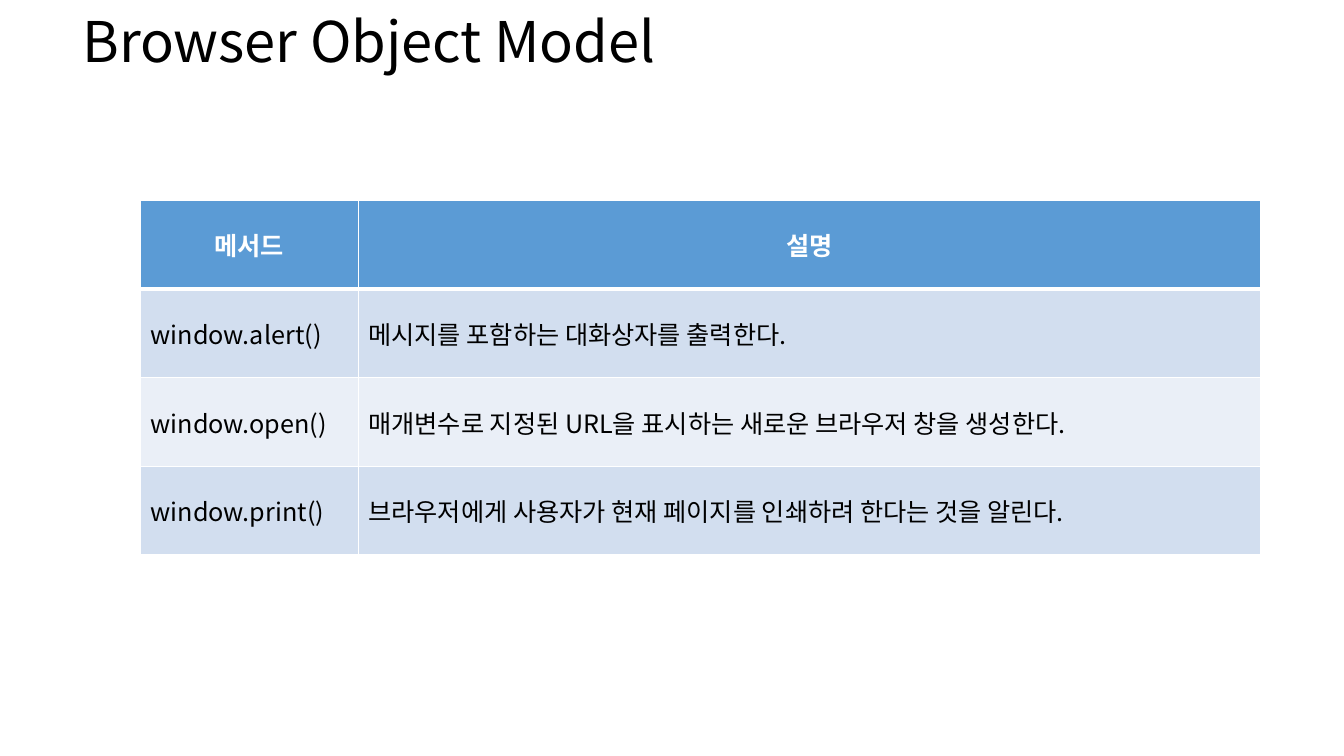
from lxml import etree
from pptx import Presentation
from pptx.dml.color import RGBColor
from pptx.enum.text import MSO_ANCHOR, PP_ALIGN
from pptx.oxml.ns import qn
from pptx.util import Pt

LEFT, CENTER = PP_ALIGN.LEFT, PP_ALIGN.CENTER
MIDDLE = MSO_ANCHOR.MIDDLE


def rgb(value):
    return RGBColor.from_string(value)


class SlideBuilder:
    font = "Noto Sans CJK KR"
    black, white = "000000", "FFFFFF"
    header_fill = "5B9BD5"
    band_fills = ("D2DEEF", "EAEFF7")

    def __init__(self, prs):
        self.s = prs.slides.add_slide(prs.slide_layouts[6])

    def run(self, p, text, size, color, bold=False):
        r = p.add_run()
        r.text = text
        r.font.size = Pt(size)
        r.font.bold = bold
        r.font.name = self.font
        r.font.color.rgb = rgb(color)
        ea = etree.SubElement(r.font._element, qn("a:ea"))
        ea.set("typeface", self.font)

    def title(self, text, left, top, width, height):
        sp = self.s.shapes.add_textbox(Pt(left), Pt(top), Pt(width), Pt(height))
        tf = sp.text_frame
        tf.word_wrap = True
        p = tf.paragraphs[0]
        p.line_spacing = 0.9
        self.run(p, text, 40, self.black)

    def borders(self, cell, bottom):
        tc_pr = cell._tc.get_or_add_tcPr()
        widths = {"lnL": 1, "lnR": 1, "lnT": 1, "lnB": bottom}
        for i, (side, width) in enumerate(widths.items()):
            ln = etree.Element(qn(f"a:{side}"), w=str(Pt(width)))
            fill = etree.SubElement(ln, qn("a:solidFill"))
            etree.SubElement(fill, qn("a:srgbClr"), val=self.white)
            tc_pr.insert(i, ln)

    def cell(self, cell, text, fill, color, header):
        cell.fill.solid()
        cell.fill.fore_color.rgb = rgb(fill)
        cell.vertical_anchor = MIDDLE
        p = cell.text_frame.paragraphs[0]
        p.alignment = CENTER if header else LEFT
        self.run(p, text, 18, color, header)

    def table(self, rows, left, top, col_widths, row_height):
        frame = self.s.shapes.add_table(
            len(rows), len(col_widths), Pt(left), Pt(top),
            Pt(sum(col_widths)), Pt(row_height * len(rows)))
        table = frame.table
        for column, width in zip(table.columns, col_widths):
            column.width = Pt(width)
        for i, texts in enumerate(rows):
            table.rows[i].height = Pt(row_height)
            header = i == 0
            fill = self.header_fill if header else self.band_fills[(i - 1) % 2]
            color = self.white if header else self.black
            for j, text in enumerate(texts):
                cell = table.cell(i, j)
                self.cell(cell, text, fill, color, header)
                self.borders(cell, 3 if header else 1)
                if i == 1:
                    cell._tc.tcPr.find(qn("a:lnT")).set("w", str(Pt(3)))


def main():
    prs = Presentation()
    prs.slide_width, prs.slide_height = Pt(960), Pt(540)
    slide = SlideBuilder(prs)
    slide.title("Browser Object Model", 51.8, 6.5, 649.4, 55.4)
    methods = [
        ("메서드", "설명"),
        ("window.alert()", "메시지를 포함하는 대화상자를 출력한다."),
        ("window.open()", "매개변수로 지정된 URL을 표시하는 새로운 브라우저 창을 생성한다."),
        ("window.print()", "브라우저에게 사용자가 현재 페이지를 인쇄하려 한다는 것을 알린다."),
    ]
    slide.table(methods, 100.4, 143.3, (155.5, 644.4), 63.3)
    prs.save("out.pptx")


if __name__ == "__main__":
    main()
